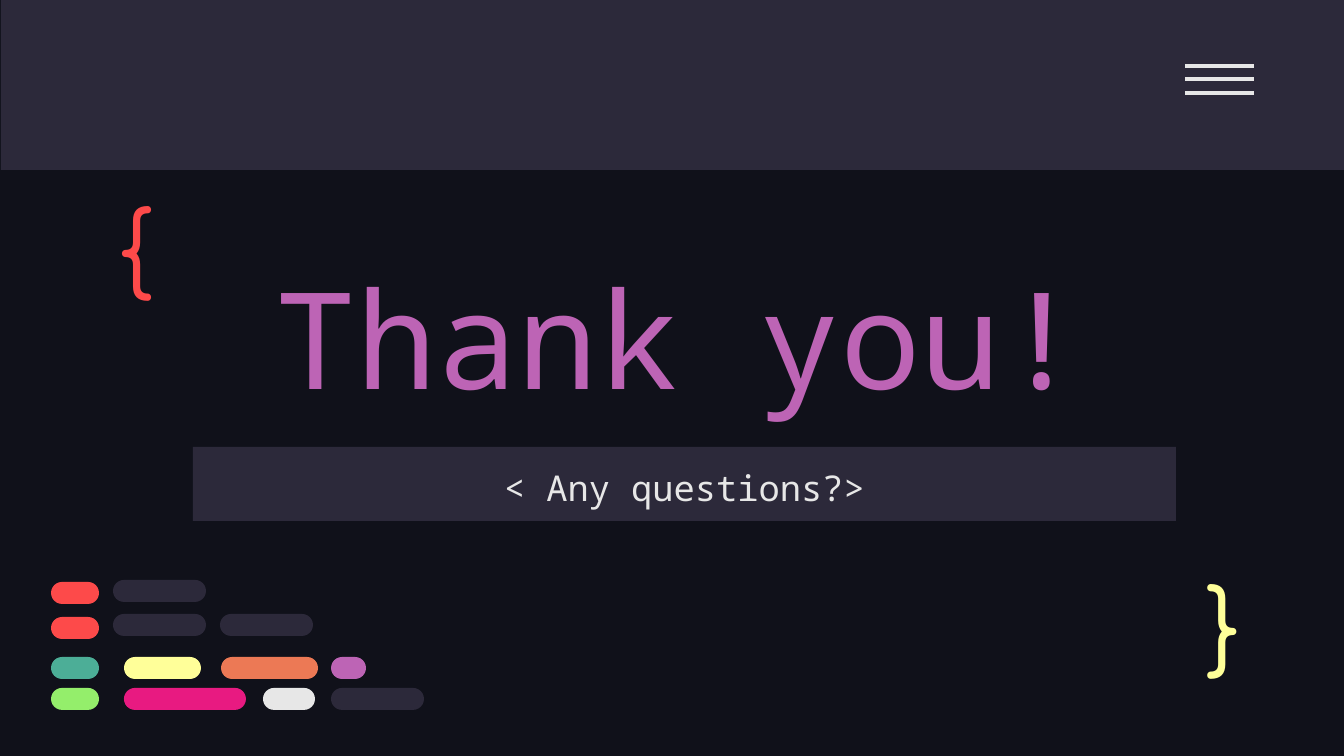
from pptx import Presentation
from pptx.dml.color import RGBColor
from pptx.enum.shapes import MSO_CONNECTOR, MSO_SHAPE
from pptx.enum.text import MSO_ANCHOR, PP_ALIGN
from pptx.oxml.ns import qn
from pptx.util import Pt
from lxml import etree

RECT, PILL = MSO_SHAPE.RECTANGLE, MSO_SHAPE.ROUNDED_RECTANGLE
STRAIGHT = MSO_CONNECTOR.STRAIGHT
TOP, MIDDLE, BOTTOM = MSO_ANCHOR.TOP, MSO_ANCHOR.MIDDLE, MSO_ANCHOR.BOTTOM
LEFT, CENTER = PP_ALIGN.LEFT, PP_ALIGN.CENTER

PX = 914400 / 134.4  # EMU per px
INSET = 13
THEME = {
    "night": "10111A", "panel": "2C293A", "light": "E7E7E7",
    "red": "FD4A4A", "teal": "4CAE97", "yellow": "FFFF99",
    "orange": "EC7955", "purple": "BD64B5", "green": "94EE6B",
    "pink": "E81A81",
    "mono": "Noto Sans Mono", "round": "Comfortaa",
    "title_size": 72, "question_size": 19, "brace_size": 50,
    "menu_width": 2.25,
}


def add_block(kind, box, color):
    block = slide.shapes.add_shape(kind, *[round(v * PX) for v in box])
    block.shadow.inherit = False
    block.fill.solid()
    block.fill.fore_color.rgb = RGBColor.from_string(THEME[color])
    block.line.fill.background()
    return block


def write(holder, text, font, size, color, align, anchor):
    frame = holder.text_frame
    frame.word_wrap = True
    frame.vertical_anchor = anchor
    frame.margin_left = frame.margin_right = round(INSET * PX)
    frame.margin_top = frame.margin_bottom = round(INSET * PX)
    paragraph = frame.paragraphs[0]
    paragraph.alignment = align
    run = paragraph.add_run()
    run.text = text
    run.font.name = THEME[font]
    run.font.size = Pt(THEME[size])
    run.font.color.rgb = RGBColor.from_string(THEME[color])
    return paragraph


prs = Presentation()
prs.slide_width, prs.slide_height = round(1344 * PX), round(756 * PX)
slide = prs.slides.add_slide(prs.slide_layouts[6])
slide.background.fill.solid()
slide.background.fill.fore_color.rgb = RGBColor.from_string(THEME["night"])

# Header band with menu icon
add_block(RECT, (1, 0, 1344, 170), "panel")
for y in (66, 79, 93):
    bar = slide.shapes.add_connector(
        STRAIGHT, *[round(v * PX) for v in (1185, y, 1254, y)])
    bar.line.color.rgb = RGBColor.from_string(THEME["light"])
    bar.line.width = Pt(THEME["menu_width"])
    etree.SubElement(bar.element.spPr, qn("a:effectLst"))

# Question panel
question = add_block(RECT, (193, 447, 983, 74), "panel")
question_line = write(question, "< Any questions?>", "mono", "question_size",
                      "light", CENTER, TOP)
question_line.line_spacing = 1.15

# Code pills: top of each row, then (left, width, color)
PILL_HEIGHT = 22
pill_rows = [
    (582, [(51, 48, "red")]),
    (617, [(51, 48, "red")]),
    (657, [(51, 48, "teal"), (124, 77, "yellow"), (221, 97, "orange"),
           (331, 35, "purple")]),
    (688, [(51, 48, "green"), (124, 122, "pink"), (263, 52, "light"),
           (331, 93, "panel")]),
    (614, [(113, 93, "panel"), (220, 93, "panel")]),
    (580, [(113, 93, "panel")]),
]
for top, pills in pill_rows:
    for left, width, color in pills:
        pill = add_block(PILL, (left, top, width, PILL_HEIGHT), color)
        pill.adjustments[0] = 0.5

# Title and braces
for box, text, font, size, color, align, anchor in [
    ((157, 196, 1044, 233), "Thank you!", "mono", "title_size", "purple",
     CENTER, BOTTOM),
    ((105, 173, 103, 128), "{", "round", "brace_size", "red", LEFT, TOP),
    ((1193, 564, 77, 112), "}", "round", "brace_size", "yellow", LEFT, MIDDLE),
]:
    label = slide.shapes.add_textbox(*[round(v * PX) for v in box])
    write(label, text, font, size, color, align, anchor)

prs.save("out.pptx")
